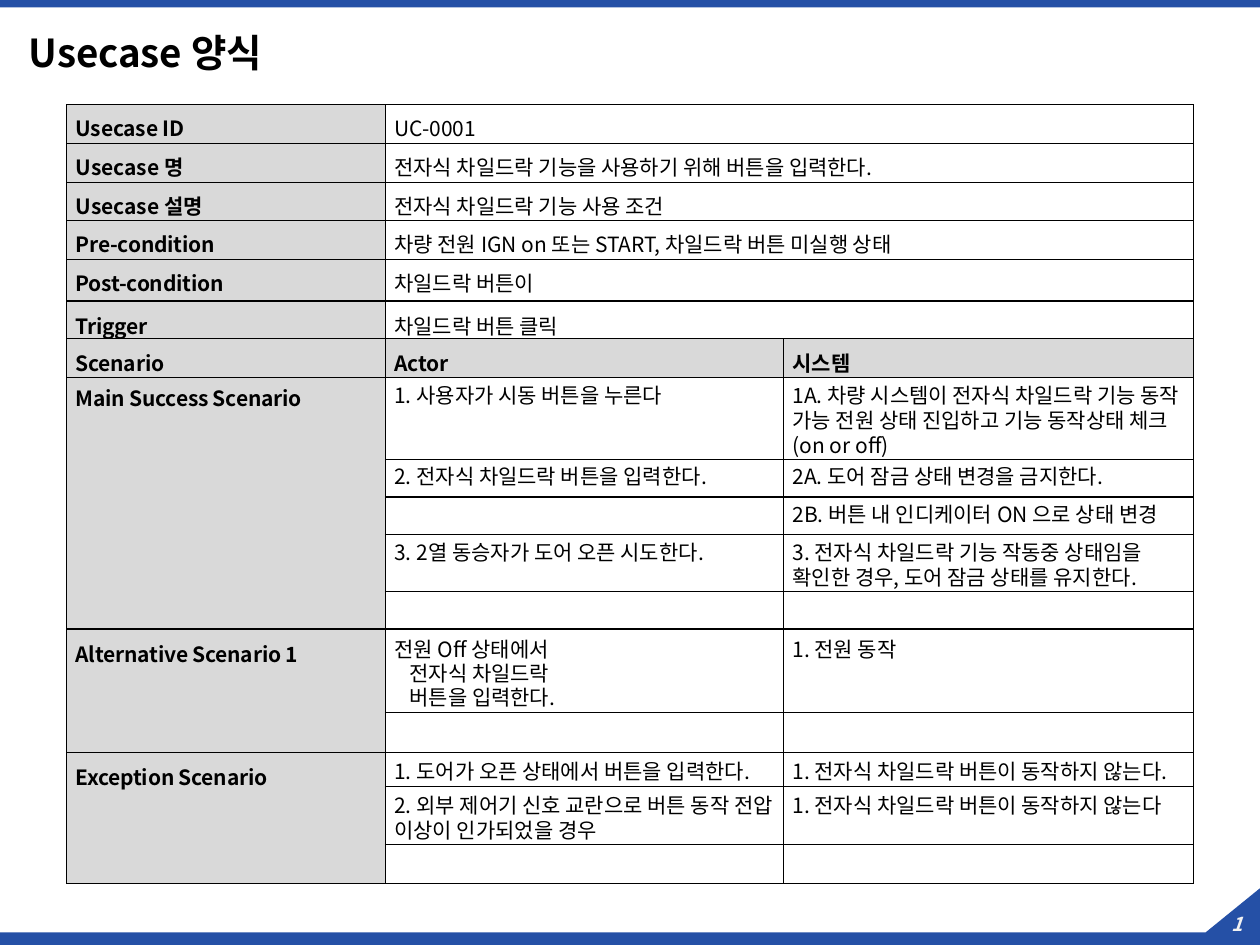
from lxml import etree
from pptx import Presentation
from pptx import util as u
from pptx.dml.color import RGBColor
from pptx.enum import shapes, text
from pptx.oxml.ns import qn

BLUE = RGBColor(0x25, 0x50, 0xA6)
GRAY = RGBColor(0xD9, 0xD9, 0xD9)
BLACK = RGBColor(0, 0, 0)
PALE = RGBColor(0xF2, 0xF2, 0xF2)
FONT = "Noto Sans CJK KR"

COLUMNS = [2.53, 3.16, 3.25]
ROWS = [0.31, 0.31, 0.3, 0.31, 0.33, 0.3, 0.31, 0.64, 0.3,
        0.3, 0.44, 0.3, 0.66, 0.32, 0.26, 0.46, 0.31]

STYLES = {
    "field": {"top": 0.06, "before": 4.7, "line": None},
    "heading": {"top": 0.07, "before": 4.7, "line": None},
    "main label": {"top": 0.08, "before": 5.6, "line": 13.9},
    "main": {"top": 0.05, "before": 3.5, "line": 14.3},
    "alternative": {"top": 0.08, "before": 5.6, "line": 13.9,
                    "left": 0.19, "indent": -0.12, "right": 1.6},
    "exception": {"top": 0.07, "before": 4.7, "line": 14.2},
}

FIELDS = [
    ("Usecase ID", "UC-0001"),
    ("Usecase 명", "전자식 차일드락 기능을 사용하기 위해 버튼을 입력한다."),
    ("Usecase 설명", "전자식 차일드락 기능 사용 조건"),
    ("Pre-condition", "차량 전원 IGN on 또는 START, 차일드락 버튼 미실행 상태"),
    ("Post-condition", "차일드락 버튼이"),
    ("Trigger", "차일드락 버튼 클릭"),
]
HEADINGS = ["Scenario", "Actor", "시스템"]
SCENARIOS = [
    ("Main Success Scenario", "main label", "main", [
        ("1. 사용자가 시동 버튼을 누른다",
         "1A. 차량 시스템이 전자식 차일드락 기능 동작 가능 전원 상태 진입하고 기능 동작상태 체크 (on or off)"),
        ("2. 전자식 차일드락 버튼을 입력한다.", "2A. 도어 잠금 상태 변경을 금지한다."),
        ("", "2B. 버튼 내 인디케이터 ON 으로 상태 변경"),
        ("3. 2열 동승자가 도어 오픈 시도한다.",
         "3. 전자식 차일드락 기능 작동중 상태임을 확인한 경우, 도어 잠금 상태를 유지한다."),
        ("", ""),
    ]),
    ("Alternative Scenario 1", "heading", "alternative", [
        ("전원 Off 상태에서 전자식 차일드락 버튼을 입력한다.", "1. 전원 동작"),
        ("", ""),
    ]),
    ("Exception Scenario", "heading", "exception", [
        ("1. 도어가 오픈 상태에서 버튼을 입력한다.",
         "1. 전자식 차일드락 버튼이 동작하지 않는다."),
        ("2. 외부 제어기 신호 교란으로 버튼 동작 전압 이상이 인가되었을 경우",
         "1. 전자식 차일드락 버튼이 동작하지 않는다"),
        ("", ""),
    ]),
]


def write_run(paragraph, words, size, color=BLACK, bold=False, italic=False):
    run = paragraph.add_run()
    run.text = words
    formats = {"size": u.Pt(size), "bold": bold, "italic": italic, "name": FONT}
    for name, value in formats.items():
        setattr(run.font, name, value)
    run.font.color.rgb = color
    etree.SubElement(run.font._element, qn("a:ea"), typeface=FONT)
    return run


def paint(shape, color):
    shape.shadow.inherit = False
    shape.fill.solid()
    shape.fill.fore_color.rgb = color
    shape.line.fill.background()


def add_text(slide, box, words, margins, alignment, spacing, **font):
    frame = slide.shapes.add_textbox(*map(u.Inches, box)).text_frame
    formats = {"word_wrap": True, "vertical_anchor": text.MSO_ANCHOR.MIDDLE}
    for side, margin in zip(("left", "top", "right", "bottom"), margins):
        formats[f"margin_{side}"] = u.Inches(margin)
    for name, value in formats.items():
        setattr(frame, name, value)
    paragraph = frame.paragraphs[0]
    paragraph.alignment = alignment
    paragraph.line_spacing = spacing
    write_run(paragraph, words, **font)


def add_top_bar(slide, box):
    bar = slide.shapes.add_shape(shapes.MSO_SHAPE.RECTANGLE, *map(u.Inches, box))
    paint(bar, BLUE)


def add_footer(slide, box):
    left, top, width, height = box
    right, bottom, band = left + width, top + height, top + 0.35
    points = [(right, top), (right, bottom), (left, bottom),
              (left, band), (right - 0.43, band)]
    points = [(u.Inches(x), u.Inches(y)) for x, y in points]
    builder = slide.shapes.build_freeform(*points[0])
    builder.add_line_segments(points[1:], close=True)
    paint(builder.convert_to_shape(), BLUE)
    add_text(slide, (right - 0.39, top + 0.14, 0.42, 0.29), "1", (0, 0, 0, 0),
             text.PP_ALIGN.CENTER, 1.0, size=11, color=PALE, bold=True, italic=True)


def add_borders(cell):
    properties = cell._tc.get_or_add_tcPr()
    for index, side in enumerate(("lnL", "lnR", "lnT", "lnB")):
        line = etree.Element(qn(f"a:{side}"), w=str(u.Pt(0.75)))
        fill = etree.SubElement(line, qn("a:solidFill"))
        etree.SubElement(fill, qn("a:srgbClr"), val=str(BLACK))
        properties.insert(index, line)


def fill_cell(cell, words, style, bold=False, shaded=False):
    layout = STYLES[style]
    margins = {"left": 0, "top": layout["top"], "right": 0, "bottom": 0}
    for side, margin in margins.items():
        setattr(cell, f"margin_{side}", u.Inches(margin))
    if shaded:
        cell.fill.solid()
        cell.fill.fore_color.rgb = GRAY
    paragraph = cell.text_frame.paragraphs[0]
    if not words:
        etree.SubElement(paragraph._p, qn("a:endParaRPr"), sz="1200")
        return
    paragraph.space_before = u.Pt(layout["before"])
    if layout["line"]:
        paragraph.line_spacing = u.Pt(layout["line"])
    indents = {"marL": layout.get("left", 0.07), "marR": layout.get("right", 0),
               "indent": layout.get("indent", 0)}
    for name, value in indents.items():
        paragraph._p.get_or_add_pPr().set(name, str(u.Inches(value)))
    run = write_run(paragraph, words, 12, bold=bold)
    if bold and words.isascii():
        run.font._element.set("spc", "-10")


def add_usecase_table(slide, box):
    frame = slide.shapes.add_table(len(ROWS), len(COLUMNS), *map(u.Inches, box))
    table = frame.table
    table.first_row = table.horz_banding = False
    for column, width in zip(table.columns, COLUMNS):
        column.width = u.Inches(width)
    for row, height in zip(table.rows, ROWS):
        row.height = u.Inches(height)
        for cell in row.cells:
            cell.fill.background()
            add_borders(cell)

    for row, (label, value) in enumerate(FIELDS):
        style = "heading" if label == "Trigger" else "field"
        table.cell(row, 1).merge(table.cell(row, 2))
        fill_cell(table.cell(row, 0), label, style, bold=True, shaded=True)
        fill_cell(table.cell(row, 1), value, style)

    row = len(FIELDS)
    for column, heading in enumerate(HEADINGS):
        fill_cell(table.cell(row, column), heading, "heading", bold=True, shaded=True)

    row += 1
    for label, label_style, style, steps in SCENARIOS:
        table.cell(row, 0).merge(table.cell(row + len(steps) - 1, 0))
        fill_cell(table.cell(row, 0), label, label_style, bold=True, shaded=True)
        for step in steps:
            for column, words in enumerate(step, start=1):
                fill_cell(table.cell(row, column), words, style)
            row += 1


def main():
    presentation = Presentation()
    presentation.slide_width = u.Inches(10)
    presentation.slide_height = u.Inches(7.5)
    slide = presentation.slides.add_slide(presentation.slide_layouts[6])
    add_top_bar(slide, (0, 0, 10, 0.06))
    add_footer(slide, (0, 7.05, 10, 0.46))
    add_text(slide, (0.13, 0.21, 9.47, 0.46), "Usecase 양식", (0.1, 0.05, 0.1, 0.05),
             text.PP_ALIGN.LEFT, 0.9, size=22, bold=True)
    add_usecase_table(slide, (0.53, 0.83, sum(COLUMNS), sum(ROWS)))
    presentation.save("out.pptx")


if __name__ == "__main__":
    main()
